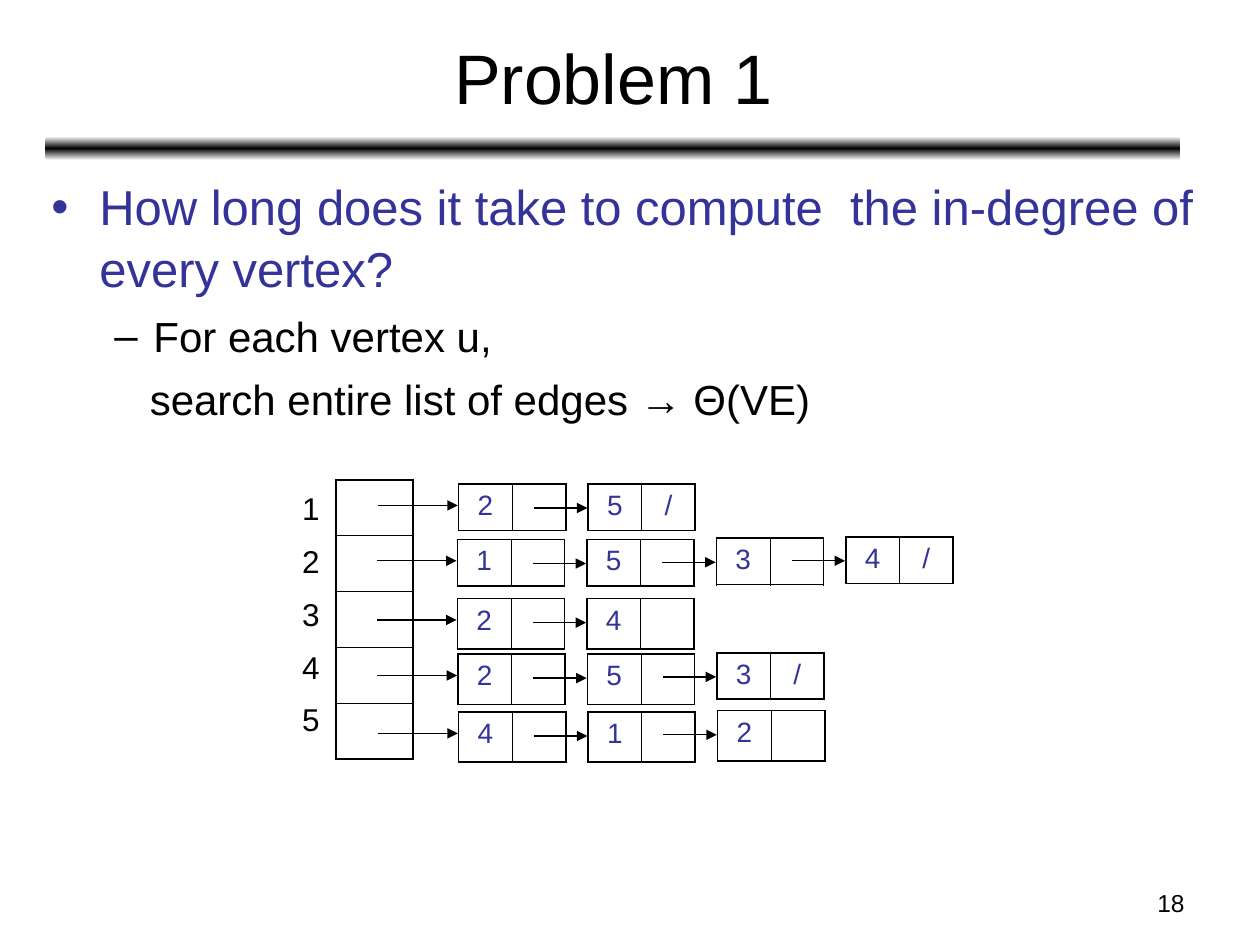
"""Build the slide on computing in-degrees from adjacency lists."""
from copy import deepcopy

from pptx import Presentation
from pptx.dml.color import RGBColor
from pptx.enum.shapes import MSO_CONNECTOR, MSO_SHAPE
from pptx.enum.text import MSO_ANCHOR, PP_ALIGN
from pptx.oxml import parse_xml
from pptx.oxml.ns import nsdecls, qn
from pptx.util import Pt

BLACK = RGBColor(0x00, 0x00, 0x00)
WHITE = RGBColor(0xFF, 0xFF, 0xFF)
INDIGO = RGBColor(0x33, 0x33, 0x99)
LEFT, CENTER, RIGHT = PP_ALIGN.LEFT, PP_ALIGN.CENTER, PP_ALIGN.RIGHT
TOP, MIDDLE = MSO_ANCHOR.TOP, MSO_ANCHOR.MIDDLE
ROUNDED = MSO_SHAPE.ROUNDED_RECTANGLE
STRAIGHT = MSO_CONNECTOR.STRAIGHT
THICK, THIN = 1.08, 0.45


def write(paragraph, text, size, color, alignment=LEFT):
    paragraph.alignment = alignment
    run = paragraph.add_run()
    run.text = text
    for name, value in {"name": "Arial", "size": Pt(size)}.items():
        setattr(run.font, name, value)
    run.font.color.rgb = color


def add_grid(left, top, widths, heights):
    frame = slide.shapes.add_table(
        len(heights), len(widths), Pt(left), Pt(top), Pt(sum(widths)), Pt(sum(heights)))
    table = frame.table
    table.first_row = table.horz_banding = False
    for column, width in zip(table.columns, widths):
        column.width = Pt(width)
    for row, height in zip(table.rows, heights):
        row.height = Pt(height)
    last_row, last_column = len(heights) - 1, len(widths) - 1
    for r, row in enumerate(table.rows):
        for c, cell in enumerate(row.cells):
            cell.fill.background()
            cell.margin_top = cell.margin_bottom = 0
            outer = {"L": c == 0, "R": c == last_column, "T": r == 0, "B": r == last_row}
            properties = cell._tc.get_or_add_tcPr()
            for index, (side, is_outer) in enumerate(outer.items()):
                width = Pt(THICK if is_outer else THIN)
                properties.insert(index, parse_xml(
                    f'<a:ln{side} {nsdecls("a")} w="{width}"><a:solidFill>'
                    f'<a:srgbClr val="{BLACK}"/></a:solidFill></a:ln{side}>'))
    return table


presentation = Presentation()
presentation.slide_width, presentation.slide_height = Pt(720), Pt(540)
slide = presentation.slides.add_slide(presentation.slide_layouts[6])

rule = slide.shapes.add_shape(ROUNDED, Pt(26), Pt(78), Pt(648.6), Pt(13.6))
rule.shadow.inherit = False
rule.line.fill.background()
rule.fill.gradient()
rule.fill.gradient_angle = 90
stop_list = rule._element.spPr.find(qn("a:gradFill")).find(qn("a:gsLst"))
stop_list.insert(1, deepcopy(stop_list[0]))
for stop, position, color in zip(rule.fill.gradient_stops, (0, 0.5, 1), (WHITE, BLACK, WHITE)):
    stop.position = position
    stop.color.rgb = color

labels = [
    ("18", 516.2, 504, 167.8, 25.2, 14, RIGHT, TOP),
    ("Problem 1", 26.6, 7.9, 648, 71.3, 40, CENTER, MIDDLE),
]
labels += [(str(i + 1), 165.6, 275.8 + 30.24 * i, 24.5, 28.8, 18, LEFT, TOP) for i in range(5)]
for text, left, top, width, height, size, alignment, anchor in labels:
    frame = slide.shapes.add_textbox(Pt(left), Pt(top), Pt(width), Pt(height)).text_frame
    frame.word_wrap = True
    frame.vertical_anchor = anchor
    write(frame.paragraphs[0], text, size, BLACK, alignment)

body = slide.shapes.add_textbox(Pt(22.3), Pt(95.8), Pt(668), Pt(399.6)).text_frame
body.word_wrap = True
points = [
    ("How long does it take to compute  the in-degree of every vertex?",
     28, INDIGO, "•", 0, 27.4, -27.4, 0),
    ("For each vertex u,", 24, BLACK, "–", 1, 58.3, -22.3, 6),
    ("search entire list of edges → Θ(VE)", 24, BLACK, None, 1, 56.2, 0, 6),
]
for index, (text, size, color, bullet, level, margin, indent, space) in enumerate(points):
    paragraph = body.add_paragraph() if index else body.paragraphs[0]
    formats = {"level": level, "line_spacing": 1.05, "space_before": Pt(space)}
    for name, value in formats.items():
        setattr(paragraph, name, value)
    properties = paragraph._p.get_or_add_pPr()
    properties.set("marL", str(Pt(margin)))
    properties.set("indent", str(Pt(indent)))
    if bullet:
        for xml in (f'<a:buClr {nsdecls("a")}><a:srgbClr val="{color}"/></a:buClr>',
                    f'<a:buFont {nsdecls("a")} typeface="Arial"/>',
                    f'<a:buChar {nsdecls("a")} char="{bullet}"/>'):
            properties.append(parse_xml(xml))
    write(paragraph, text, size, color)

add_grid(192.2, 274.3, [44], [31.9] * 5)

CELL, PITCH, LINK = 30.6, 74, 31
NODE_LIFTS = (0, 0, 0.7, 1.4)
ARROW_DROPS = (12.3, 13.8, 13.1, 12.3)
adjacency_lists = [
    (262.1, 276.5, 26.6, ["2", "5/"]),
    (261.4, 308.2, 26.6, ["1", "5", "3", "4/"]),
    (261.4, 342, 28.8, ["2", "4"]),
    (261.7, 373.7, 28.8, ["2", "5", "3/"]),
    (262.1, 406.8, 28.8, ["4", "1", "2"]),
]
for left, top, height, nodes in adjacency_lists:
    for index, node in enumerate(nodes):
        node_left = left + PITCH * index
        node_height = 26.6 if node.endswith("/") else height
        table = add_grid(node_left, top - NODE_LIFTS[index], [CELL] * 2, [node_height])
        for column, text in enumerate(node):
            cell = table.cell(0, column)
            cell.margin_top = cell.margin_bottom = Pt(3.6)
            write(cell.text_frame.paragraphs[0], text, 16, INDIGO, CENTER)
        start = node_left - LINK if index else left - 46
        arrow_top = Pt(top + ARROW_DROPS[index])
        arrow = slide.shapes.add_connector(
            STRAIGHT, Pt(start), arrow_top, Pt(node_left - 0.5), arrow_top)
        arrow.line.width = Pt(0.75)
        arrow.line.color.rgb = BLACK
        arrow.line._get_or_add_ln().append(
            parse_xml(f'<a:tailEnd {nsdecls("a")} type="triangle"/>'))
        arrow._element.spPr.append(parse_xml(f'<a:effectLst {nsdecls("a")}/>'))

presentation.save("out.pptx")
